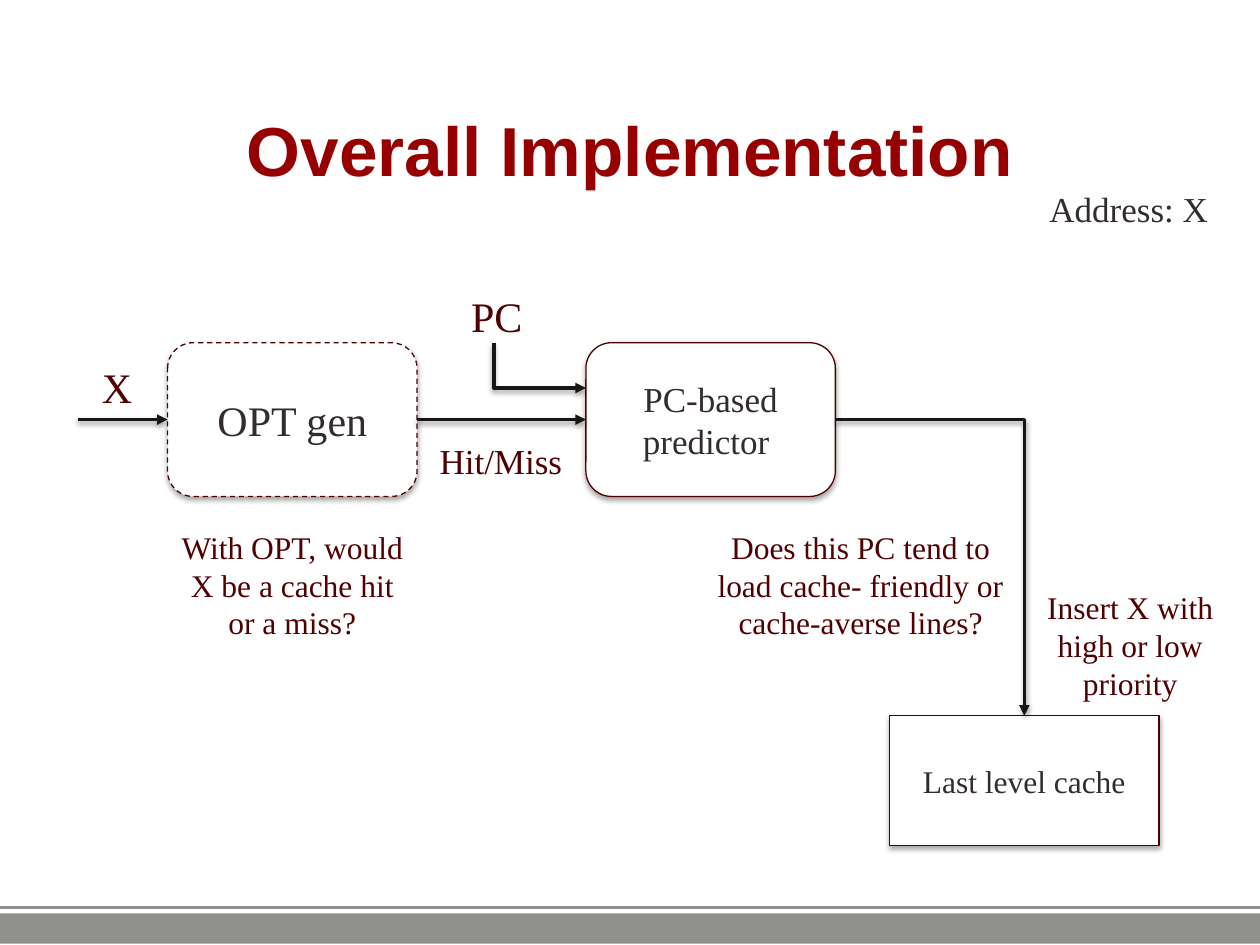
from lxml import etree
from pptx import Presentation
from pptx.dml.color import RGBColor
from pptx.enum.dml import MSO_LINE_DASH_STYLE as Dash
from pptx.enum.shapes import MSO_CONNECTOR as Connector, MSO_SHAPE as Shape
from pptx.enum.text import MSO_ANCHOR as Anchor, MSO_AUTO_SIZE as AutoSize, PP_ALIGN as Align
from pptx.oxml.ns import qn
from pptx.util import Inches, Pt

WHITE = RGBColor(0xFF, 0xFF, 0xFF)
GRAY = RGBColor(0x90, 0x90, 0x8C)
TITLE_RED = RGBColor(0x96, 0x00, 0x00)
MAROON = RGBColor(0x50, 0x00, 0x00)
OUTLINE = RGBColor(0x4E, 0x00, 0x00)
DARK = RGBColor(0x33, 0x2C, 0x2C)
ARROW = RGBColor(0x16, 0x16, 0x16)

BOX_WIDTH, BOX_HEIGHT, BOX_TOP = 1.98, 1.22, 2.72
FLOW_Y = BOX_TOP + BOX_HEIGHT / 2


def write_text(frame, text, size=18, color=MAROON, font="Times New Roman",
               bold=False, align=Align.LEFT, italic_run=None):
    """Fill a frame; newlines split paragraphs, italic_run is a run index after splitting at '|'."""
    for number, line in enumerate(text.split("\n")):
        paragraph = frame.paragraphs[0] if number == 0 else frame.add_paragraph()
        paragraph.alignment = align
        for index, part in enumerate(line.split("|")):
            run = paragraph.add_run()
            run.text = part
            run.font.size = Pt(size)
            run.font.name = font
            run.font.bold = bold
            run.font.italic = index == italic_run
            run.font.color.rgb = color


def add_label(slide, left, top, width, height, text, wrap=True, anchor=Anchor.TOP, **text_format):
    box = slide.shapes.add_textbox(Inches(left), Inches(top), Inches(width), Inches(height))
    frame = box.text_frame
    frame.word_wrap = wrap
    frame.auto_size = AutoSize.NONE if anchor == Anchor.MIDDLE else AutoSize.SHAPE_TO_FIT_TEXT
    frame.vertical_anchor = anchor
    write_text(frame, text, **text_format)


def add_shadow(shape, distance, opacity):
    effects = etree.SubElement(shape._element.spPr, qn("a:effectLst"))
    shadow = etree.SubElement(effects, qn("a:outerShdw"), blurRad=str(Pt(3.1)),
                              dist=str(Pt(distance)), dir="5400000", rotWithShape="0")
    color = etree.SubElement(shadow, qn("a:srgbClr"), val="000000")
    etree.SubElement(color, qn("a:alpha"), val=str(opacity * 1000))


def add_box(slide, kind, left, top, width, height, text, size, dashed=False):
    box = slide.shapes.add_shape(kind, Inches(left), Inches(top), Inches(width), Inches(height))
    box.fill.solid()
    box.fill.fore_color.rgb = WHITE
    box.line.color.rgb = OUTLINE
    box.line.width = Pt(0.75)
    if dashed:
        box.line.dash_style = Dash.DASH
    add_shadow(box, 1.8, 35)
    box.text_frame.word_wrap = True
    box.text_frame.vertical_anchor = Anchor.MIDDLE
    write_text(box.text_frame, text, size=size, color=DARK, align=Align.CENTER)
    return box


def add_arrow(slide, start, end, source=None, target=None, bent=False):
    """Arrow between points; source and target are (shape, side) pairs to join."""
    kind = Connector.ELBOW if bent else Connector.STRAIGHT
    arrow = slide.shapes.add_connector(kind, *(Inches(value) for value in (*start, *end)))
    if source:
        arrow.begin_connect(*source)
    if target:
        arrow.end_connect(*target)
    if bent:
        arrow._element.spPr.find(qn("a:prstGeom")).set("prst", "bentConnector2")
    arrow.line.color.rgb = ARROW
    arrow.line.width = Pt(2)
    etree.SubElement(arrow.line._get_or_add_ln(), qn("a:tailEnd"), type="triangle")
    add_shadow(arrow, 1.6, 38)
    return arrow


def turn_down_first(arrow):
    """Make a one-corner arrow leave downwards instead of sideways."""
    left, top, width, height = arrow.left, arrow.top, arrow.width, arrow.height
    arrow.left, arrow.top = left + (width - height) // 2, top + (height - width) // 2
    arrow.width, arrow.height = height, width
    transform = arrow._element.spPr.find(qn("a:xfrm"))
    transform.set("rot", "16200000")
    transform.set("flipH", "1")


def add_footer(slide):
    band = slide.shapes.add_shape(Shape.RECTANGLE, 0, Inches(7.25), Inches(10), Inches(0.24))
    band.shadow.inherit = False
    band.fill.solid()
    band.fill.fore_color.rgb = GRAY
    band.line.fill.background()
    rule = slide.shapes.add_connector(Connector.STRAIGHT, 0, Inches(7.2), Inches(10), Inches(7.2))
    rule.line.color.rgb = GRAY
    rule.line.width = Pt(1.5)
    etree.SubElement(rule._element.spPr, qn("a:effectLst"))


def main():
    presentation = Presentation()
    presentation.slide_width, presentation.slide_height = Inches(10), Inches(7.5)
    slide = presentation.slides.add_slide(presentation.slide_layouts[6])

    # Footer and title
    add_footer(slide)
    add_label(slide, 0.5, 0.81, 9, 0.74, "Overall Implementation", anchor=Anchor.MIDDLE,
              size=39.6, color=TITLE_RED, font="Arial", bold=True, align=Align.CENTER)

    # Boxes
    opt_gen = add_box(slide, Shape.ROUNDED_RECTANGLE, 1.33, BOX_TOP, BOX_WIDTH, BOX_HEIGHT,
                      "OPT gen", 24, dashed=True)
    predictor = add_box(slide, Shape.ROUNDED_RECTANGLE, 4.65, BOX_TOP, BOX_WIDTH, BOX_HEIGHT,
                        "PC-based\npredictor ", 20)
    cache = add_box(slide, Shape.RECTANGLE, 7.06, 5.68, 2.14, 1.03, "Last level cache", 18)

    # Arrows
    add_arrow(slide, (3.31, FLOW_Y), (4.65, FLOW_Y), (opt_gen, 3), (predictor, 1))
    add_arrow(slide, (6.63, FLOW_Y), (8.13, 5.68), (predictor, 3), (cache, 0), bent=True)
    add_arrow(slide, (0.62, FLOW_Y), (1.33, FLOW_Y), target=(opt_gen, 1))
    turn_down_first(add_arrow(slide, (3.92, 2.72), (4.65, 3.08), bent=True))

    # Signal names
    add_label(slide, 3.64, 2.26, 0.76, 0.5, "PC", size=24)
    add_label(slide, 0.71, 2.82, 0.51, 0.5, "X ", wrap=False, size=24)
    add_label(slide, 3.39, 3.44, 1.18, 0.44, "Hit/Miss", wrap=False, size=20)
    add_label(slide, 8.23, 1.44, 1.47, 0.44, "Address: X", wrap=False, size=20, color=DARK)

    # Explanations
    add_label(slide, 1.33, 4.14, 1.98, 1.01, "With OPT, would X be a cache hit or a miss?",
              align=Align.CENTER)
    add_label(slide, 5.56, 4.14, 2.54, 1.01,
              "Does this PC tend to load cache- friendly or cache-averse lin|e|s?",
              align=Align.CENTER, italic_run=1)
    add_label(slide, 7.98, 4.62, 1.98, 1.01, "Insert X with high or low priority",
              align=Align.CENTER)

    presentation.save("out.pptx")


if __name__ == "__main__":
    main()
